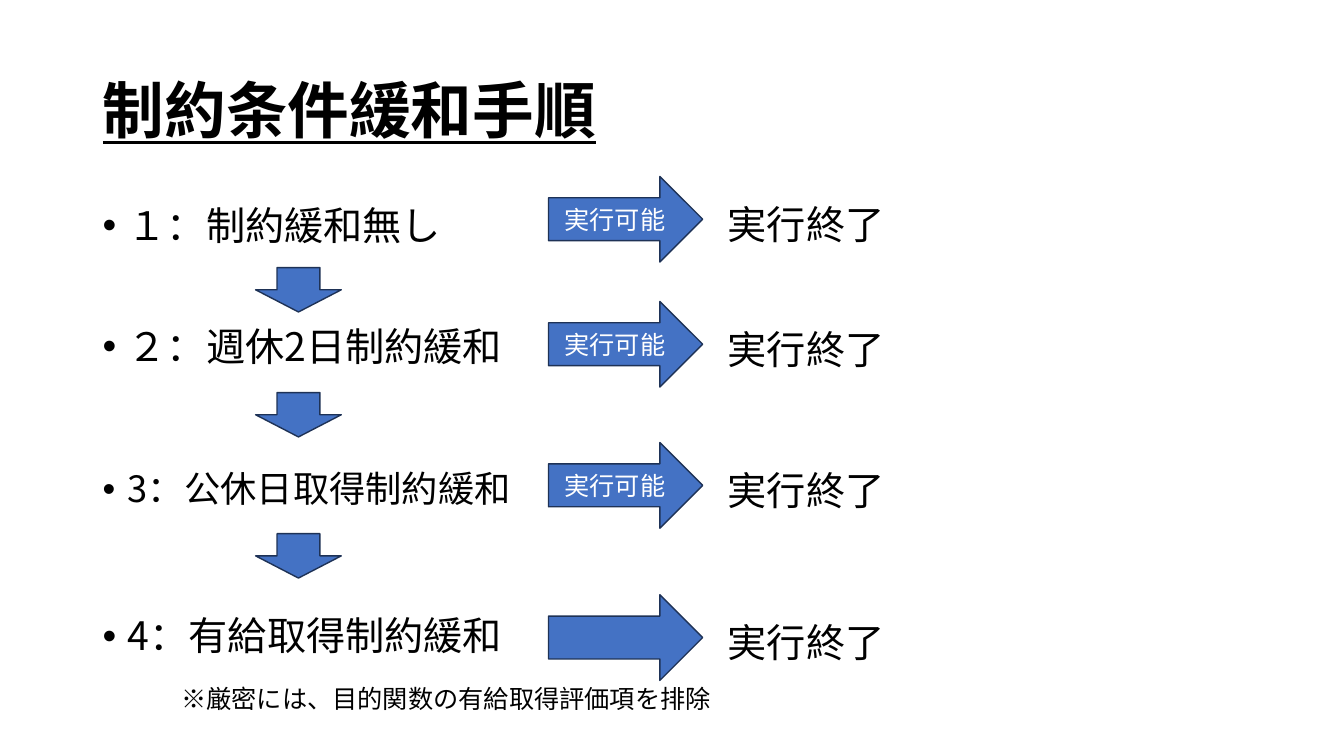
from lxml import etree
from pptx import Presentation
from pptx.dml.color import RGBColor
from pptx.enum.shapes import MSO_SHAPE
from pptx.enum.text import MSO_ANCHOR, PP_ALIGN
from pptx.oxml.ns import qn
from pptx.util import Inches, Pt

BLACK = RGBColor(0x00, 0x00, 0x00)
WHITE = RGBColor(0xFF, 0xFF, 0xFF)
BLUE = RGBColor(0x44, 0x72, 0xC4)
NAVY = RGBColor(0x1E, 0x32, 0x56)
FONT = "Noto Sans CJK JP"
RIGHT_ARROW = MSO_SHAPE.RIGHT_ARROW
MIDDLE = MSO_ANCHOR.MIDDLE
CENTER = PP_ALIGN.CENTER
LEFT = PP_ALIGN.LEFT


def add_text(paragraph, text, size, color=BLACK, space_before=10, bullet=False, indent=0):
    """Fill a paragraph with one run and set its spacing and indent."""
    paragraph.line_spacing = 0.9
    paragraph.space_before = Pt(space_before)
    run = paragraph.add_run()
    run.text = text
    run.font.size = Pt(size)
    run.font.name = FONT
    run.font.color.rgb = color
    east_asian = etree.SubElement(run.font._element, qn("a:ea"))
    east_asian.set("typeface", FONT)
    properties = paragraph._p.get_or_add_pPr()
    properties.set("marL", str(Inches(0.25 if bullet else indent)))
    properties.set("indent", str(Inches(-0.25 if bullet else 0)))
    if bullet:
        etree.SubElement(properties, qn("a:buFont")).set("typeface", "Arial")
        etree.SubElement(properties, qn("a:buChar")).set("char", "•")
    return run


def add_arrow(left, top, width, rotation=0):
    arrow = slide.shapes.add_shape(
        RIGHT_ARROW, Inches(left), Inches(top), Inches(width), Inches(0.85))
    arrow.rotation = rotation
    arrow.shadow.inherit = False
    arrow.fill.solid()
    arrow.fill.fore_color.rgb = BLUE
    arrow.line.color.rgb = NAVY
    arrow.line.width = Pt(1)
    return arrow


presentation = Presentation()
presentation.slide_width = Inches(13.33)
presentation.slide_height = Inches(7.5)
slide = presentation.slides.add_slide(presentation.slide_layouts[5])

# Title
title = slide.shapes.title
title.left, title.top = Inches(0.92), Inches(0.4)
title.width, title.height = Inches(11.5), Inches(1.45)
title.text_frame.vertical_anchor = MIDDLE
title_paragraph = title.text_frame.paragraphs[0]
title_paragraph.alignment = LEFT
title_run = add_text(title_paragraph, "制約条件緩和手順", 44, space_before=0)
title_run.font.bold = True
title_run.font.underline = True

# Steps: text, size, text top, text width, text height, arrow top, arrow label
steps = [
    ("１：制約緩和無し", 28, 2.0, 4.36, 0.54, 1.75, "実行可能"),
    ("２：週休2日制約緩和", 28, 3.2, 4.36, 0.54, 2.99, "実行可能"),
    ("3：公休日取得制約緩和", 25.9, 4.63, 4.36, 0.54, 4.39, "実行可能"),
    ("4：有給取得制約緩和", 28, 6.07, 10.35, 1.04, 5.9, ""),
]
for text, size, text_top, width, height, arrow_top, label in steps:
    step_box = slide.shapes.add_textbox(
        Inches(0.92), Inches(text_top), Inches(width), Inches(height))
    step_box.text_frame.word_wrap = True
    add_text(step_box.text_frame.paragraphs[0], text, size, bullet=True)

    # Arrow to the end of the run
    result_arrow = add_arrow(5.44, arrow_top, 1.53)
    if label:
        result_arrow.text_frame.vertical_anchor = MIDDLE
        label_paragraph = result_arrow.text_frame.paragraphs[0]
        label_paragraph.alignment = CENTER
        add_text(label_paragraph, label, 18, WHITE, space_before=0)
        label_paragraph.line_spacing = 1.0

        # Downward arrow to the next step
        add_arrow(2.74, arrow_top + 0.7, 0.44, rotation=90)

    end_box = slide.shapes.add_textbox(
        Inches(7.12), Inches(arrow_top + 0.24), Inches(1.95), Inches(0.54))
    end_box.text_frame.word_wrap = True
    add_text(end_box.text_frame.paragraphs[0], "実行終了", 28)

# Note under the last step
note_paragraph = step_box.text_frame.add_paragraph()
add_text(note_paragraph, "※厳密には、目的関数の有給取得評価項を排除", 18,
         space_before=20, indent=0.78)

presentation.save("out.pptx")
